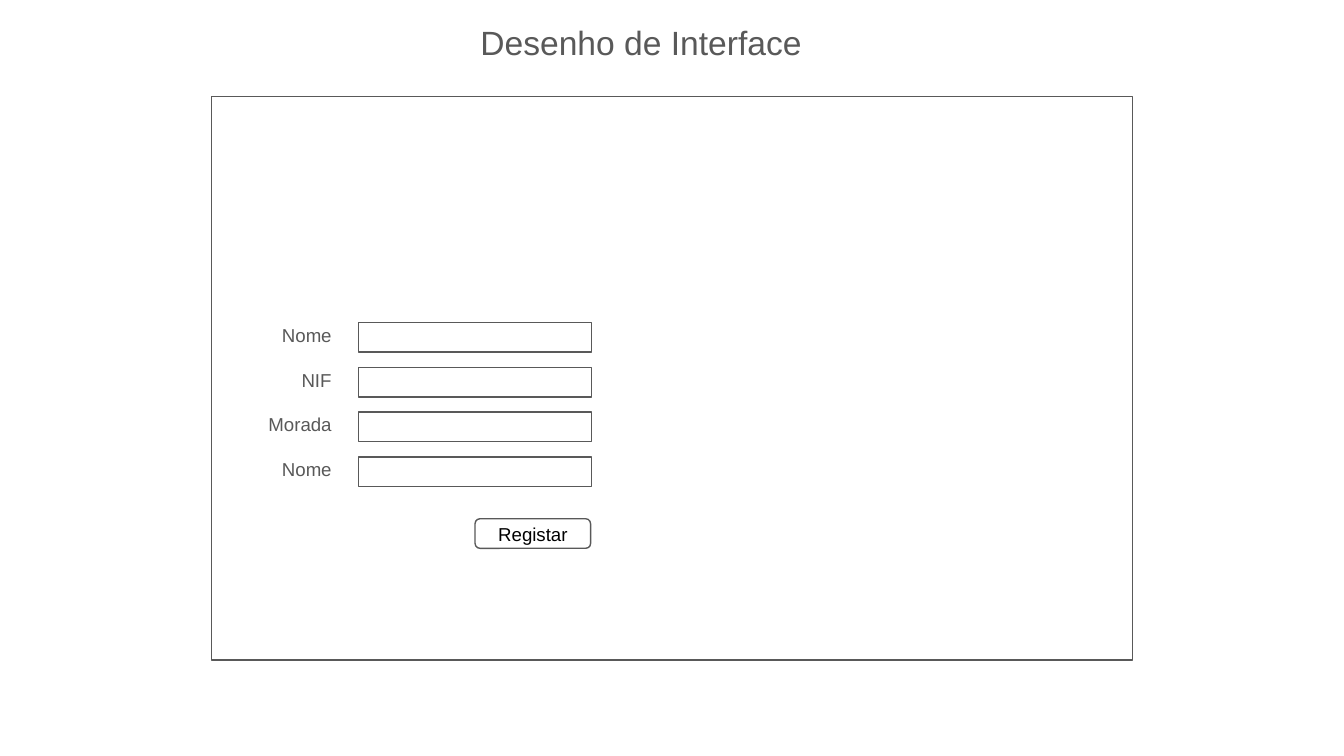
from dataclasses import dataclass

from pptx import Presentation
from pptx.dml.color import RGBColor
from pptx.enum.shapes import MSO_SHAPE as Shape
from pptx.enum.text import MSO_ANCHOR as Anchor, MSO_AUTO_SIZE as AutoSize, PP_ALIGN as Align
from pptx.util import Emu, Pt

PX = 4572
INSET = 20
GRAY = RGBColor(0x59, 0x59, 0x59)
BLACK = RGBColor(0x00, 0x00, 0x00)


@dataclass(frozen=True)
class Box:
    x: int
    y: int
    w: int
    h: int

    def emu(self) -> list[Emu]:
        return [Emu(v * PX) for v in (self.x, self.y, self.w, self.h)]


@dataclass(frozen=True)
class Field:
    label: str
    label_w: int = 122


SLIDE_W, SLIDE_H = 2000, 1125
WINDOW = Box(315, 144, 1370, 838)
TITLE = Box(641, 12, 626, 100)
BUTTON = Box(707, 772, 172, 44)
INPUT = Box(534, 480, 346, 44)
LABEL_RIGHT, LABEL_TOP, LABEL_H = 513, 465, 74
ROW_SPAN = 200
FIELDS = [Field("Nome"), Field("NIF"), Field("Morada", 152), Field("Nome")]


def write(sp, text: str, *, size: int = 10, color: RGBColor = GRAY,
          align: Align = Align.CENTER, anchor: Anchor = Anchor.TOP,
          fit: AutoSize = AutoSize.SHAPE_TO_FIT_TEXT) -> None:
    tf = sp.text_frame
    tf.word_wrap = True
    tf.auto_size = fit
    tf.vertical_anchor = anchor
    tf.margin_left = tf.margin_right = tf.margin_top = tf.margin_bottom = Emu(INSET * PX)
    p = tf.paragraphs[0]
    p.alignment = align
    r = p.add_run()
    r.text = text
    r.font.name = "Arial"
    r.font.size = Pt(size)
    r.font.color.rgb = color


def add_outline(s, box: Box, kind: Shape = Shape.RECTANGLE):
    sp = s.shapes.add_shape(kind, *box.emu())
    sp.shadow.inherit = False
    sp.fill.background()
    sp.line.color.rgb = GRAY
    sp.line.width = Pt(0.75)
    return sp


def add_text(s, box: Box, text: str, **fmt) -> None:
    write(s.shapes.add_textbox(*box.emu()), text, **fmt)


def add_field(s, field: Field, row: int) -> None:
    offset = round(row * ROW_SPAN / (len(FIELDS) - 1))
    add_outline(s, Box(INPUT.x, INPUT.y + offset, INPUT.w, INPUT.h))
    label = Box(LABEL_RIGHT - field.label_w, LABEL_TOP + offset, field.label_w, LABEL_H)
    add_text(s, label, field.label, align=Align.RIGHT)


def main() -> None:
    """Build the slide with the registration form wireframe."""
    prs = Presentation()
    prs.slide_width, prs.slide_height = Emu(SLIDE_W * PX), Emu(SLIDE_H * PX)
    s = prs.slides.add_slide(prs.slide_layouts[6])
    add_outline(s, WINDOW)
    for row, field in enumerate(FIELDS):
        add_field(s, field, row)
    button = add_outline(s, BUTTON, Shape.ROUNDED_RECTANGLE)
    write(button, "Registar", color=BLACK, anchor=Anchor.MIDDLE, fit=AutoSize.NONE)
    add_text(s, TITLE, "Desenho de Interface", size=18)
    prs.save("out.pptx")


if __name__ == "__main__":
    main()
